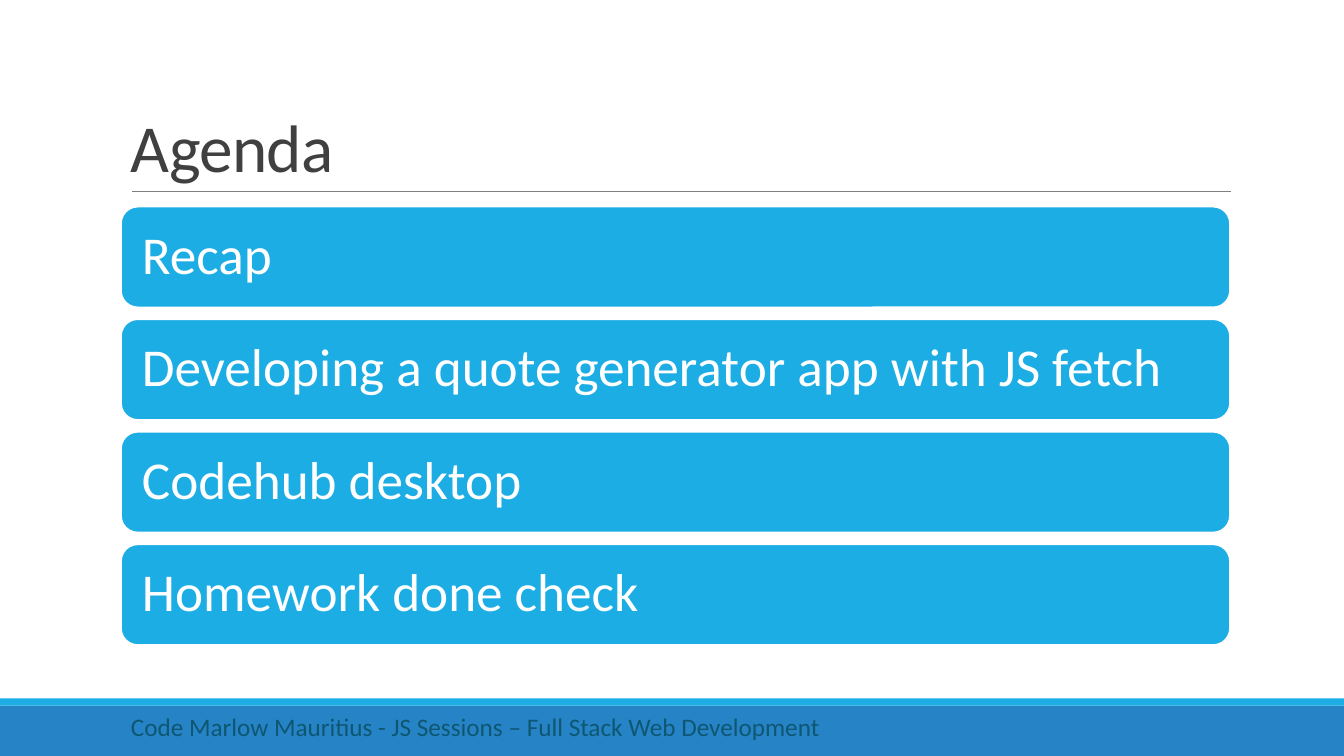
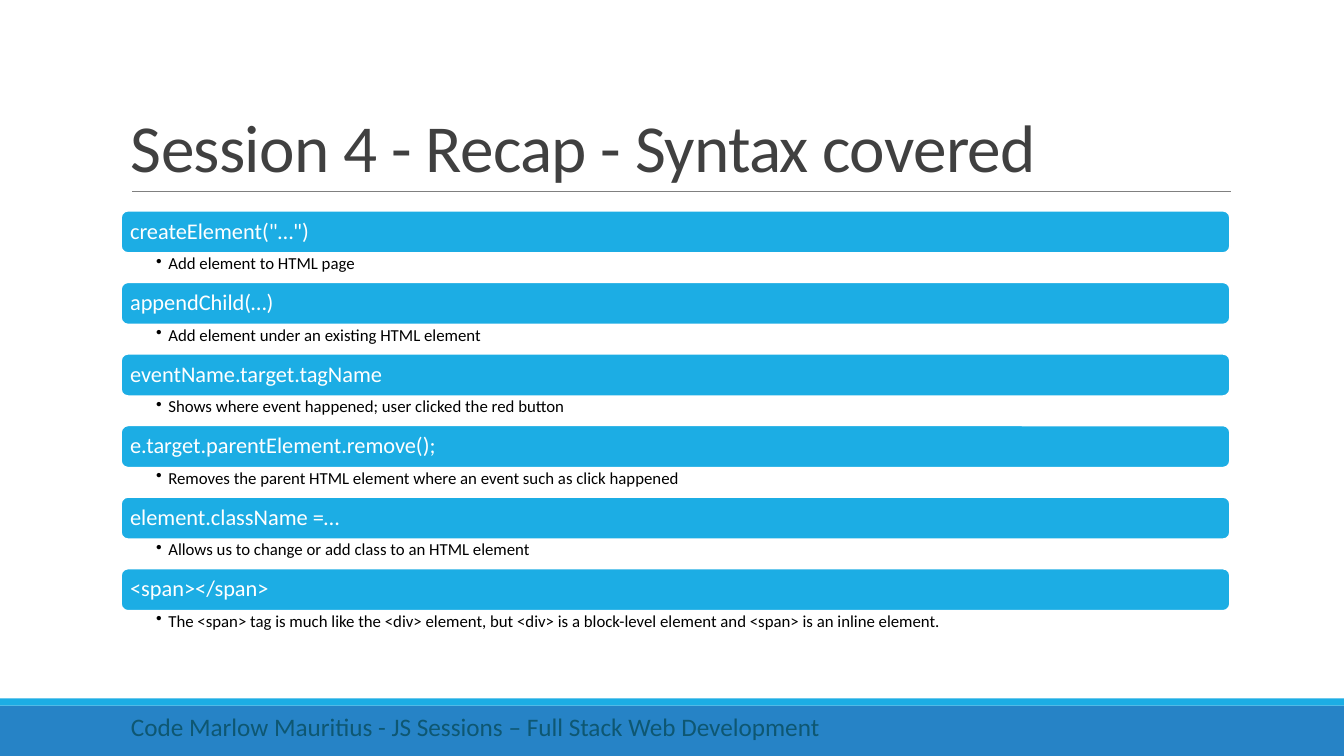
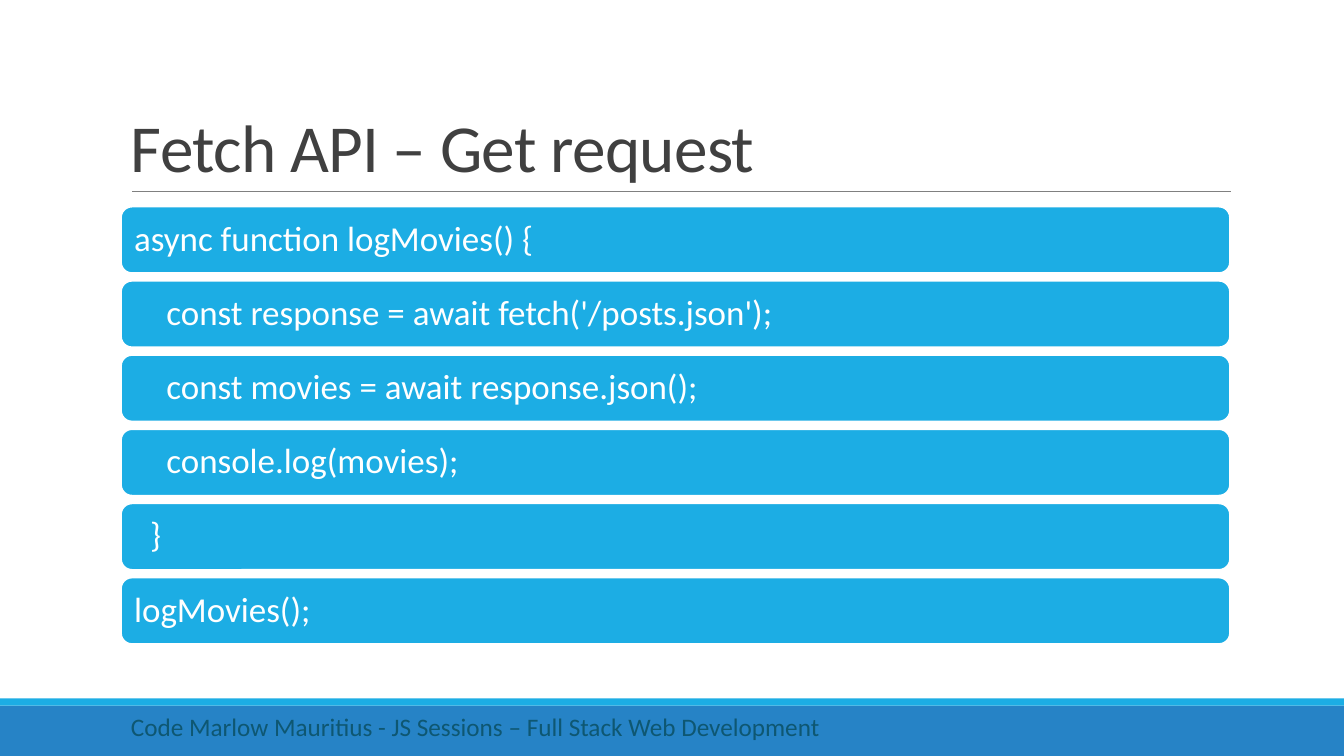
from lxml import etree
from pptx import Presentation
from pptx.dml.color import RGBColor
from pptx.enum.shapes import MSO_CONNECTOR, MSO_SHAPE
from pptx.enum.text import MSO_ANCHOR
from pptx.oxml.ns import qn
from pptx.util import Inches, Pt

RECTANGLE = MSO_SHAPE.RECTANGLE
ROUNDED = MSO_SHAPE.ROUNDED_RECTANGLE
STRAIGHT = MSO_CONNECTOR.STRAIGHT
TOP, MIDDLE, BOTTOM = MSO_ANCHOR.TOP, MSO_ANCHOR.MIDDLE, MSO_ANCHOR.BOTTOM

FONT = "Calibri"
ACCENT, BAND, RULE = "1CADE4", "2683C6", "808080"
WHITE, BLACK, TITLE, FOOTER = "FFFFFF", "000000", "404040", "0E5772"
WIDTH, HEIGHT = 13.33, 7.5
LEFT, CONTENT_WIDTH = 1.2, 11
DEFAULT_INSETS = (0.1, 0.05, 0.1, 0.05)
DETAIL_INSETS = (0.35, 0.02, 0.12, 0.02)
DETAIL_HEIGHT = 0.29
BULLET_INDENT = 0.12
CODE_INDENT = 0.16
FOOTER_TEXT = "Code Marlow Mauritius - JS Sessions – Full Stack Web Development"

AGENDA = [
    "Recap",
    "Developing a quote generator app with JS fetch",
    "Codehub desktop",
    "Homework done check",
]
SYNTAX = [
    ('createElement("…")', "Add element to HTML page"),
    ("appendChild(…)", "Add element under an existing HTML element"),
    ("eventName.target.tagName", "Shows where event happened; user clicked the red button"),
    ("e.target.parentElement.remove();",
     "Removes the parent HTML element where an event such as click happened"),
    ("element.className =…", "Allows us to change or add class to an HTML element"),
    ("<span></span>",
     "The <span> tag is much like the <div> element, but <div> is a block-level element "
     "and <span> is an inline element."),
]
CODE = [
    (0, "async function logMovies() {"),
    (2, "const response = await fetch('/posts.json');"),
    (2, "const movies = await response.json();"),
    (2, "console.log(movies);"),
    (1, "}"),
    (0, "logMovies();"),
]


def color(value):
    return RGBColor.from_string(value)


def set_text(shape, text, size, text_color, anchor=TOP, insets=DEFAULT_INSETS, spacing=1.0):
    frame = shape.text_frame
    frame.text = text
    frame.word_wrap = True
    frame.vertical_anchor = anchor
    frame.margin_left, frame.margin_top, frame.margin_right, frame.margin_bottom = map(Inches, insets)
    paragraph = frame.paragraphs[0]
    paragraph.line_spacing = spacing
    font = paragraph.runs[0].font
    font.name = FONT
    font.size = Pt(size)
    font.color.rgb = color(text_color)
    return paragraph


def indent(paragraph, left, first=0):
    properties = paragraph._p.get_or_add_pPr()
    properties.set("marL", str(Inches(left)))
    properties.set("indent", str(Inches(first)))
    properties.set("algn", "l")
    return properties


def add_box(slide, kind, left, top, width, height, fill, line=None):
    shape = slide.shapes.add_shape(kind, *map(Inches, (left, top, width, height)))
    shape.shadow.inherit = False
    shape.fill.solid()
    shape.fill.fore_color.rgb = color(fill)
    if line:
        shape.line.color.rgb = color(line)
        shape.line.width = Pt(1.25)
    else:
        shape.line.fill.background()
    return shape


def add_text(slide, left, top, width, height, *text_style, **options):
    box = slide.shapes.add_textbox(*map(Inches, (left, top, width, height)))
    return set_text(box, *text_style, **options)


def add_rule(slide, left, right, top):
    rule = slide.shapes.add_connector(STRAIGHT, *map(Inches, (left, top, right, top)))
    rule.line.color.rgb = color(RULE)
    rule.line.width = Pt(0.5)
    etree.SubElement(rule._element.spPr, qn("a:effectLst"))


def add_bar(slide, top, height, text, size, inset, left_indent=0):
    bar = add_box(slide, ROUNDED, LEFT, top, CONTENT_WIDTH, height, ACCENT, WHITE)
    paragraph = set_text(bar, text, size, WHITE, MIDDLE, (inset,) * 4, 0.9)
    indent(paragraph, left_indent)


def add_detail(slide, top, text):
    paragraph = add_text(slide, LEFT, top, CONTENT_WIDTH, DETAIL_HEIGHT, text, 12, BLACK,
                         insets=DETAIL_INSETS, spacing=0.9)
    properties = indent(paragraph, BULLET_INDENT, -BULLET_INDENT)
    etree.SubElement(properties, qn("a:buChar")).set("char", "•")


def row_tops(first, last, count):
    step = (last - first) / (count - 1)
    return [first + step * row for row in range(count)]


def add_base_slide(presentation, title):
    slide = presentation.slides.add_slide(presentation.slide_layouts[6])
    add_box(slide, RECTANGLE, 0, 7, WIDTH, 0.5, BAND)
    add_box(slide, RECTANGLE, 0, 6.93, WIDTH, 0.07, ACCENT)
    add_rule(slide, 1.31, 12.21, 1.9)
    heading = add_text(slide, LEFT, 0.31, CONTENT_WIDTH, 1.59, title, 48, TITLE,
                       anchor=BOTTOM, spacing=0.85)
    heading.runs[0].font._element.set("spc", "-50")
    add_text(slide, LEFT, 7.01, 7.78, 0.4, FOOTER_TEXT, 18, FOOTER)
    return slide


def add_agenda(presentation):
    slide = add_base_slide(presentation, "Agenda")
    for top, topic in zip(row_tops(2.05, 5.4, len(AGENDA)), AGENDA):
        add_bar(slide, top, 1, topic, 38, 0.16)


def add_syntax(presentation):
    slide = add_base_slide(presentation, "Session 4 - Recap - Syntax covered")
    bar_height = 0.42
    for top, (syntax, detail) in zip(row_tops(2.09, 5.64, len(SYNTAX)), SYNTAX):
        add_bar(slide, top, bar_height, syntax, 16, 0.07)
        add_detail(slide, top + bar_height, detail)


def add_code(presentation):
    slide = add_base_slide(presentation, "Fetch API – Get request")
    for top, (level, statement) in zip(row_tops(2.05, 5.73, len(CODE)), CODE):
        add_bar(slide, top, 0.66, statement, 25, 0.1, level * CODE_INDENT)


def main():
    presentation = Presentation()
    presentation.slide_width = Inches(WIDTH)
    presentation.slide_height = Inches(HEIGHT)
    add_agenda(presentation)
    add_syntax(presentation)
    add_code(presentation)
    presentation.save("out.pptx")


main()
